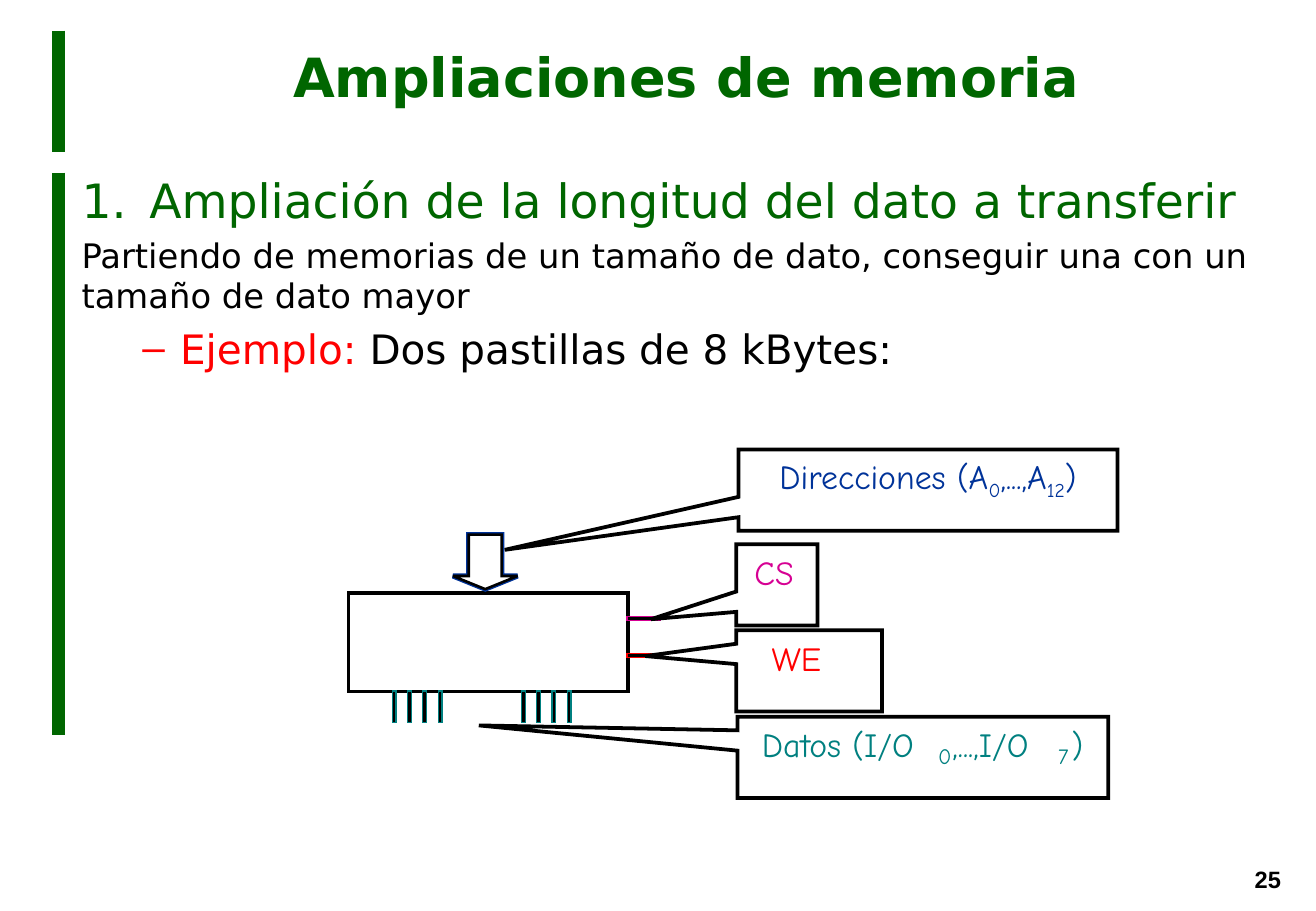
from dataclasses import dataclass

from lxml import etree
from pptx import Presentation
from pptx.dml.color import RGBColor
from pptx.enum.shapes import MSO_CONNECTOR, MSO_SHAPE
from pptx.enum.text import MSO_ANCHOR, MSO_AUTO_SIZE, PP_ALIGN
from pptx.oxml.ns import qn
from pptx.util import Cm, Pt

RECTANGLE = MSO_SHAPE.RECTANGLE
DOWN_ARROW = MSO_SHAPE.DOWN_ARROW
CALLOUT = MSO_SHAPE.RECTANGULAR_CALLOUT
STRAIGHT = MSO_CONNECTOR.STRAIGHT
TOP, MIDDLE = MSO_ANCHOR.TOP, MSO_ANCHOR.MIDDLE
LEFT, CENTER = PP_ALIGN.LEFT, PP_ALIGN.CENTER
NO_AUTOFIT = MSO_AUTO_SIZE.NONE

GREEN = RGBColor(0x00, 0x66, 0x00)
BLACK = RGBColor(0x00, 0x00, 0x00)
WHITE = RGBColor(0xFF, 0xFF, 0xFF)
RED = RGBColor(0xFF, 0x00, 0x00)
TEAL = RGBColor(0x00, 0x80, 0x80)
BLUE = RGBColor(0x00, 0x33, 0x99)
MAGENTA = RGBColor(0xD6, 0x00, 0x93)

HEADING_FONT = "DejaVu Sans"
LABEL_FONT = "Comic Neue"


@dataclass(frozen=True)
class Area:
    left: float
    top: float
    width: float
    height: float


@dataclass(frozen=True)
class Callout:
    area: Area
    tip_x: float
    tip_y: float


@dataclass(frozen=True)
class Label:
    area: Area
    text: str
    size: float
    color: RGBColor
    font: str = LABEL_FONT
    bold: bool = False
    margin: float = 0


@dataclass(frozen=True)
class Item:
    spans: tuple[tuple[str, RGBColor], ...]
    size: float
    level: int = 0
    margin: float = 0
    hanging: float = 0
    bullet: tuple[str, str, str] = ("a:buNone", "", "")


BARS = ((0.64, 3.18), (3.61, 15.37))
ITEMS = (
    Item((("Ampliación de la longitud del dato a transferir", GREEN),), 28,
         margin=1.42, hanging=1.42, bullet=("a:buAutoNum", "type", "arabicPeriod")),
    Item((("Partiendo de memorias de un tamaño de dato, conseguir una con un "
           "tamaño de dato mayor", BLACK),), 20),
    Item((("Ejemplo:", RED), (" Dos pastillas de 8 kBytes:", BLACK)), 24,
         level=1, margin=2.06, hanging=0.79, bullet=("a:buChar", "char", "–")),
)
ADDRESS_CALLOUT = Callout(Area(15.44, 9.4, 7.92, 1.7), 10.55, 11.5)
CALLOUTS = (
    Callout(Area(15.42, 14.99, 7.75, 1.7), 10.01, 15.17),
    Callout(Area(15.39, 11.38, 1.7, 1.7), 13.61, 12.95),
    Callout(Area(15.39, 13.18, 3.05, 1.7), 13.49, 13.72),
)
ADDRESS_SPANS = (("Direcciones (A", False), ("0", True), (",...,A", False),
                 ("12", True), (")", False))
LABELS = (
    Label(Area(15.93, 15.14, 3.68, 0.84), "Datos (I/O", 20, TEAL),
    Label(Area(19.61, 15.52, 0.28, 0.56), "0", 13, TEAL),
    Label(Area(19.91, 15.14, 2.24, 0.84), ",...,I/O", 20, TEAL),
    Label(Area(22.12, 15.52, 0.28, 0.56), "7", 13, TEAL),
    Label(Area(22.4, 15.14, 0.25, 0.84), ")", 20, TEAL),
    Label(Area(15.77, 11.53, 0.91, 0.84), "CS", 20, MAGENTA),
    Label(Area(16.13, 13.34, 1.19, 0.84), "WE", 20, RED),
    Label(Area(25.98, 17.96, 1.45, 0.86), "25", 14, BLACK, "Arial", True, 0.25),
)


def place(shape, area: Area) -> None:
    shape.left, shape.top = Cm(area.left), Cm(area.top)
    shape.width, shape.height = Cm(area.width), Cm(area.height)


def style_font(font, name: str, size: float, color: RGBColor, bold: bool = False) -> None:
    font.name, font.size, font.bold = name, Pt(size), bold
    font.color.rgb = color


def add_bar(page, top: float, bottom: float) -> None:
    bar = page.shapes.add_connector(STRAIGHT, Cm(1.22), Cm(top), Cm(1.22), Cm(bottom))
    bar.line.color.rgb = GREEN
    bar.line.width = Pt(8)
    etree.SubElement(bar._element.spPr, qn("a:effectLst"))


def add_figure(page, kind, area: Area, fill: RGBColor, line: RGBColor, width: float):
    figure = page.shapes.add_shape(kind, Cm(area.left), Cm(area.top),
                                   Cm(area.width), Cm(area.height))
    figure.fill.solid()
    figure.fill.fore_color.rgb = fill
    figure.line.color.rgb = line
    figure.line.width = Pt(width)
    outline = figure._element.spPr.find(qn("a:ln"))
    etree.SubElement(outline, qn("a:miter"), lim="800000")
    figure.shadow.inherit = False
    return figure


def add_callout(page, callout: Callout):
    area = callout.area
    figure = add_figure(page, CALLOUT, area, WHITE, BLACK, 2.25)
    figure.adjustments[0] = (callout.tip_x - area.left) / area.width - 0.5
    figure.adjustments[1] = (callout.tip_y - area.top) / area.height - 0.5
    return figure


def add_label(page, label: Label) -> None:
    area = label.area
    box = page.shapes.add_textbox(Cm(area.left), Cm(area.top), Cm(area.width), Cm(area.height))
    frame = box.text_frame
    frame.word_wrap = False
    frame.margin_left = frame.margin_right = Cm(label.margin)
    frame.margin_top = frame.margin_bottom = Cm(label.margin / 2)
    para = frame.paragraphs[0]
    para.text = label.text
    para.alignment = LEFT
    style_font(para.font, label.font, label.size, label.color, label.bold)


def write_title(page) -> None:
    title = page.shapes.title
    place(title, Area(1.98, 0, 24.74, 3.18))
    frame = title.text_frame
    frame.auto_size = NO_AUTOFIT
    frame.vertical_anchor = MIDDLE
    para = frame.paragraphs[0]
    para.text = "Ampliaciones de memoria"
    para.alignment = CENTER
    style_font(para.font, HEADING_FONT, 32, GREEN, True)


def write_item(para, item: Item) -> None:
    para.level = item.level
    properties = para._p.get_or_add_pPr()
    properties.set("marL", str(Cm(item.margin)))
    properties.set("indent", str(Cm(-item.hanging)))
    color = etree.SubElement(properties, qn("a:buClr"))
    etree.SubElement(color, qn("a:srgbClr"), val=str(item.spans[0][1]))
    tag, key, value = item.bullet
    etree.SubElement(properties, qn(tag), {key: value} if key else {})
    for text, span_color in item.spans:
        span = para.add_run()
        span.text = text
        style_font(span.font, HEADING_FONT, item.size, span_color)


def write_body(page) -> None:
    body = page.placeholders[1]
    place(body, Area(1.45, 3.45, 25.45, 5.03))
    frame = body.text_frame
    frame.auto_size = NO_AUTOFIT
    for index, item in enumerate(ITEMS):
        write_item(frame.add_paragraph() if index else frame.paragraphs[0], item)


def draw_chip(page) -> None:
    add_figure(page, RECTANGLE, Area(7.29, 12.4, 5.84, 2.06), WHITE, BLACK, 2)
    for group_left in (8.2, 10.9):
        for pin in range(4):
            area = Area(group_left + pin * 0.32, 14.45, 0.08, 0.66)
            add_figure(page, RECTANGLE, area, BLACK, TEAL, 0.75)
    for top, color in ((12.9, MAGENTA), (13.67, RED)):
        add_figure(page, RECTANGLE, Area(13.11, top, 0.69, 0.08), BLACK, color, 0.75)
    for color, width in ((BLUE, 3), (BLACK, 1.5)):
        arrow = add_figure(page, DOWN_ARROW, Area(9.47, 11.18, 1.35, 1.14), WHITE, color, width)
        arrow.adjustments[0] = 0.51
        arrow.adjustments[1] = 0.24


def write_address(page) -> None:
    frame = add_callout(page, ADDRESS_CALLOUT).text_frame
    frame.vertical_anchor = TOP
    para = frame.paragraphs[0]
    para.alignment = CENTER
    style_font(para.font, LABEL_FONT, 20, BLUE)
    for text, lowered in ADDRESS_SPANS:
        span = para.add_run()
        span.text = text
        if lowered:
            span._r.get_or_add_rPr().set("baseline", "-25000")


def main() -> None:
    deck = Presentation()
    deck.slide_width, deck.slide_height = Cm(27.51), Cm(19.05)
    page = deck.slides.add_slide(deck.slide_layouts[1])
    for top, bottom in BARS:
        add_bar(page, top, bottom)
    write_title(page)
    write_body(page)
    draw_chip(page)
    for callout in CALLOUTS:
        add_callout(page, callout)
    for label in LABELS:
        add_label(page, label)
    write_address(page)
    deck.save("out.pptx")


if __name__ == "__main__":
    main()
